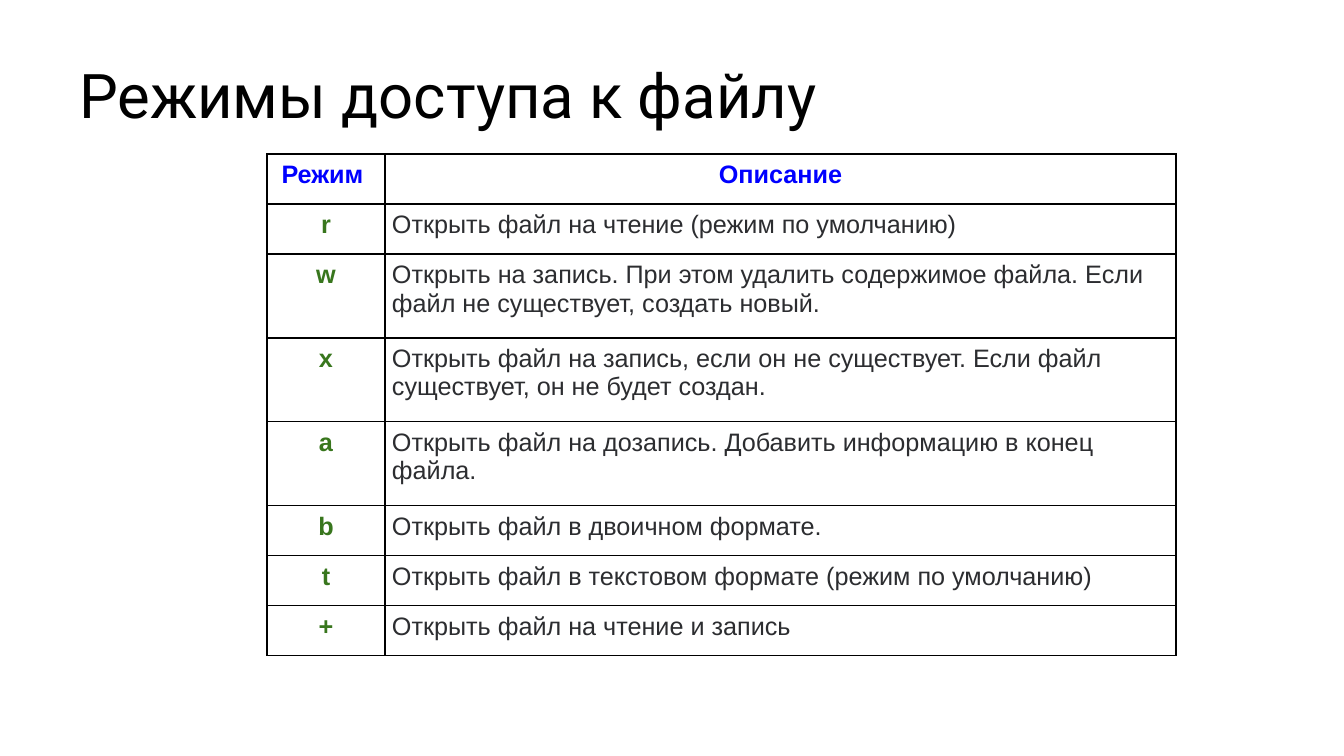
from pptx import Presentation
from pptx import util as u
from pptx.dml.color import RGBColor
from pptx.enum import text
from pptx.oxml import parse_xml
from pptx.oxml.ns import nsdecls

SCALE = 914400 / 100.8
BLACK = RGBColor(0x00, 0x00, 0x00)
HEADER_BLUE = RGBColor(0x00, 0x00, 0xFF)
MODE_GREEN = RGBColor(0x38, 0x76, 0x1D)
BODY_GRAY = RGBColor(0x2C, 0x2D, 0x30)

HEADINGS = ("Режим ", "Описание")
MODES = [
    ("r", "Открыть файл на чтение (режим по умолчанию)"),
    ("w", "Открыть на запись. При этом удалить содержимое файла. "
          "Если файл не существует, создать новый."),
    ("x", "Открыть файл на запись, если он не существует. "
          "Если файл существует, он не будет создан."),
    ("a", "Открыть файл на дозапись. Добавить информацию в конец файла."),
    ("b", "Открыть файл в двоичном формате."),
    ("t", "Открыть файл в текстовом формате (режим по умолчанию)"),
    ("+", "Открыть файл на чтение и запись"),
]
COLUMN_WIDTHS = (118, 791)
ROW_HEIGHTS = (50, 50, 84, 84, 84, 50, 50, 50)
CELL_MARGIN = 7


def px(pixels):
    return u.Emu(round(pixels * SCALE))


def set_font(paragraph, name, size, color, bold=False):
    paragraph.font.name = name
    paragraph.font.size = u.Pt(size)
    paragraph.font.color.rgb = color
    paragraph.font.bold = bold


def fill_title(title, wording):
    title.left, title.top, title.width, title.height = map(px, (69, 50, 1191, 87))
    frame = title.text_frame
    frame.text = wording
    frame.word_wrap = True
    frame.auto_size = text.MSO_AUTO_SIZE.NONE
    frame.vertical_anchor = text.MSO_ANCHOR.BOTTOM
    heading = frame.paragraphs[0]
    heading.alignment = text.PP_ALIGN.LEFT
    heading.line_spacing = 0.9
    set_font(heading, "Roboto", 44, BLACK)


def add_borders(cell):
    properties = cell._tc.get_or_add_tcPr()
    for position, side in enumerate(("lnL", "lnR", "lnT", "lnB")):
        border = parse_xml(
            f'<a:{side} {nsdecls("a")} w="{u.Pt(1)}"><a:solidFill>'
            f'<a:srgbClr val="{BLACK}"/></a:solidFill></a:{side}>')
        properties.insert(position, border)


def fill_cell(cell, wording, color, bold, alignment):
    cell.text = wording
    cell.fill.background()
    cell.margin_left = cell.margin_right = px(CELL_MARGIN)
    cell.margin_top = cell.margin_bottom = px(CELL_MARGIN)
    cell.vertical_anchor = text.MSO_ANCHOR.TOP
    line = cell.text_frame.paragraphs[0]
    line.alignment = alignment
    set_font(line, "Arial", 18, color, bold)
    add_borders(cell)


def add_modes_table(slide):
    rows = [HEADINGS, *MODES]
    modes = slide.shapes.add_table(
        len(rows), len(HEADINGS), px(267), px(154),
        px(sum(COLUMN_WIDTHS)), px(sum(ROW_HEIGHTS))).table
    modes.horz_banding = False
    modes.first_row = False
    for column, width in zip(modes.columns, COLUMN_WIDTHS):
        column.width = px(width)
    for row, height in zip(modes.rows, ROW_HEIGHTS):
        row.height = px(height)
    center, left = text.PP_ALIGN.CENTER, text.PP_ALIGN.LEFT
    for column, heading in enumerate(HEADINGS):
        fill_cell(modes.cell(0, column), heading, HEADER_BLUE, True, center)
    for row, (mode, description) in enumerate(MODES, start=1):
        fill_cell(modes.cell(row, 0), mode, MODE_GREEN, True, center)
        fill_cell(modes.cell(row, 1), description, BODY_GRAY, False, left)


def main():
    deck = Presentation()
    deck.slide_width, deck.slide_height = px(1344), px(756)
    slide = deck.slides.add_slide(deck.slide_layouts.get_by_name("Title Only"))
    fill_title(slide.shapes.title, "Режимы доступа к файлу")
    add_modes_table(slide)
    deck.save("out.pptx")


main()
